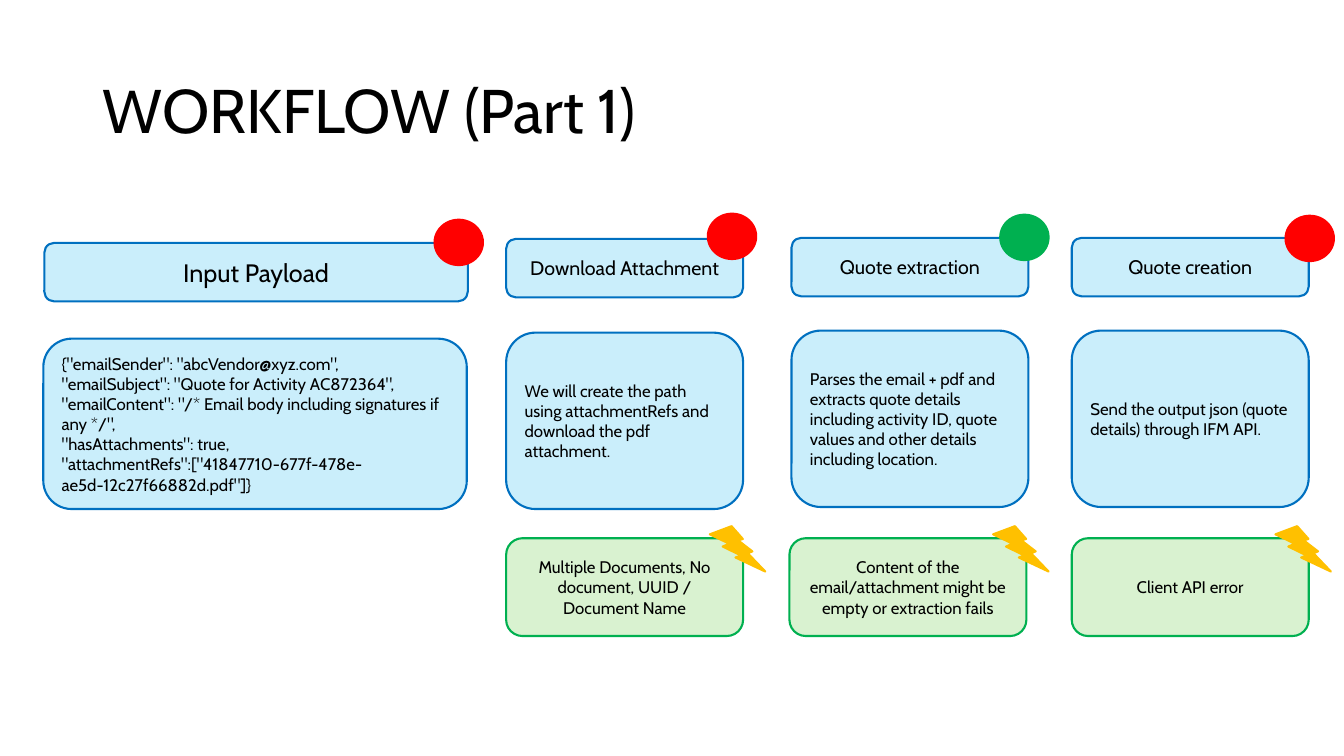
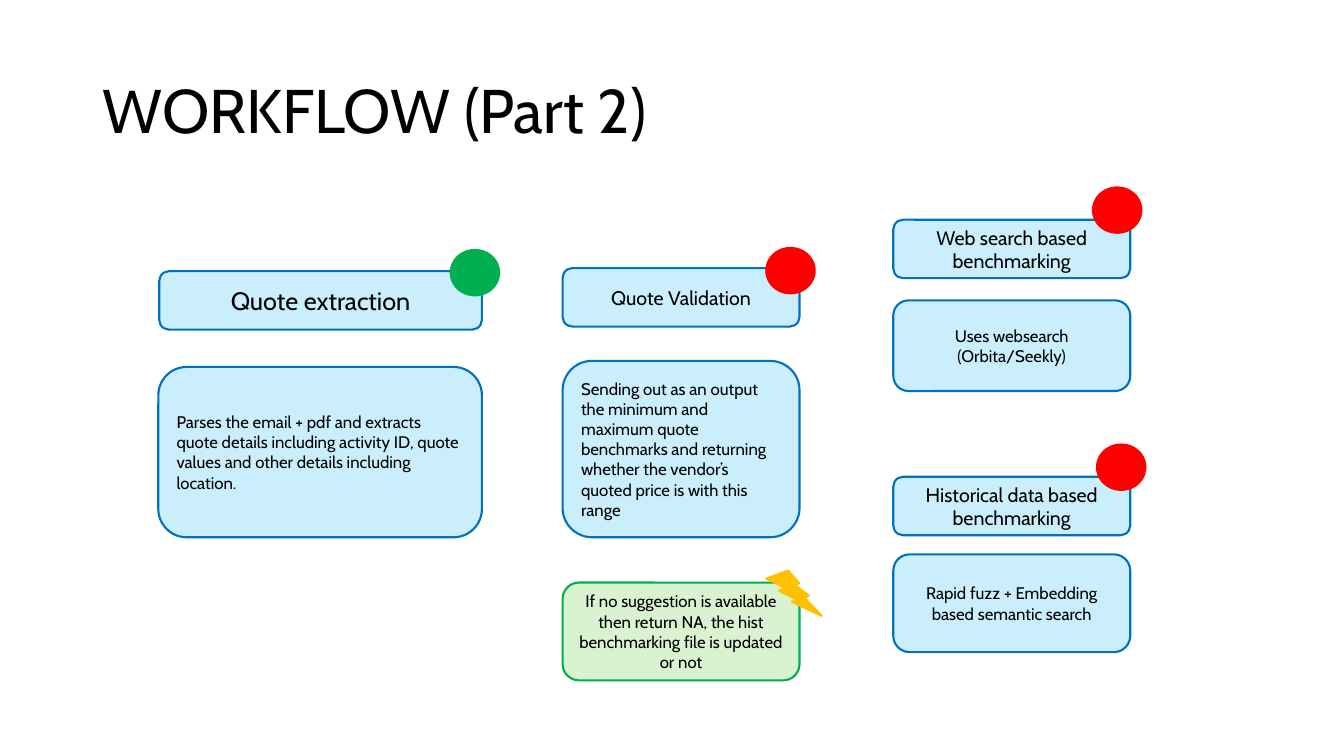
"""Build two workflow slides with step cards, status dots and risk notes."""
import pptx
import pptx.util
import pptx.dml.color
import pptx.enum.shapes
import pptx.enum.text

PX = 9144
FONT = "Cabin"
HUES = {
    "ink": "000000",
    "sky": "CAEEFB",
    "blue": "0070C0",
    "mint": "D9F2D0",
    "green": "00B050",
    "red": "FF0000",
    "gold": "FFC000",
}
KINDS = pptx.enum.shapes.MSO_SHAPE
ALIGN = pptx.enum.text.PP_ALIGN
WIDE = 235
HEAD = 58
NOTE = 97

PARSE = ("Parses the email + pdf and extracts quote details including activity ID, "
         "quote values and other details including location.")
INPUT = """{"emailSender": "abcVendor@xyz.com",
"emailSubject": "Quote for Activity AC872364",
"emailContent": "/* Email body including signatures if any */",
"hasAttachments": true,
"attachmentRefs":["41847710-677f-478e-ae5d-12c27f66882d.pdf"]}"""

PAGES = [
    {
        "title": "WORKFLOW (Part 1)",
        "heads": [
            (44, 241, 420, 18, "Input Payload"),
            (502, 237, WIDE, 14, "Download Attachment"),
            (785, 236, WIDE, 14, "Quote extraction"),
            (1063, 236, WIDE, 14, "Quote creation"),
        ],
        "cards": [
            (43, 336, 420, 169, "LEFT", INPUT),
            (502, 330, WIDE, 175, "LEFT",
             "We will create the path using attachmentRefs and download the pdf attachment."),
            (785, 328, WIDE, 175, "LEFT", PARSE),
            (1063, 328, WIDE, 175, "LEFT",
             "Send the output json (quote details) through IFM API."),
        ],
        "dots": [(431, 218, "red"), (702, 212, "red"), (992, 213, "green"), (1275, 214, "red")],
        "risks": [
            (502, 534, "Multiple Documents, No document, UUID / Document Name"),
            (783, 534, "Content of the email/attachment might be empty or extraction fails"),
            (1063, 534, "Client API error"),
        ],
    },
    {
        "title": "WORKFLOW (Part 2)",
        "heads": [
            (158, 269, 320, 18, "Quote extraction"),
            (558, 266, WIDE, 14, "Quote Validation"),
            (886, 218, WIDE, 14, "Web search based benchmarking"),
            (886, 473, WIDE, 14, "Historical data based benchmarking"),
        ],
        "cards": [
            (157, 364, 321, 169, "LEFT", PARSE),
            (558, 358, WIDE, 175, "LEFT",
             "Sending out as an output the minimum and maximum quote benchmarks and "
             "returning whether the vendor’s quoted price is with this range"),
            (886, 298, WIDE, 90, "CENTER", "Uses websearch (Orbita/Seekly)"),
            (886, 550, WIDE, NOTE, "CENTER", "Rapid fuzz + Embedding based semantic search"),
        ],
        "dots": [(447, 248, "green"), (760, 246, "red"), (1084, 186, "red"), (1088, 441, "red")],
        "risks": [
            (558, 578, "If no suggestion is available then return NA, "
                       "the hist benchmarking file is updated or not"),
        ],
    },
]


def write(shape, text, size=12, align="CENTER", space=None):
    """Fill a shape with text, one paragraph a line."""
    frame = shape.text_frame
    frame.word_wrap = True
    frame.vertical_anchor = pptx.enum.text.MSO_ANCHOR.MIDDLE
    frame.text = text
    for para in frame.paragraphs:
        para.alignment = ALIGN[align]
        if space:
            para.line_spacing = space
        for run in para.runs:
            run.font.name = FONT
            run.font.size = pptx.util.Pt(size)
            run.font.color.rgb = pptx.dml.color.RGBColor.from_string(HUES["ink"])


def draw(slide, kind, box, fill, line):
    """Add a flat preset shape with a fill and an outline."""
    shape = slide.shapes.add_shape(kind, *[n * PX for n in box])
    shape.shadow.inherit = False
    shape.fill.solid()
    shape.fill.fore_color.rgb = pptx.dml.color.RGBColor.from_string(HUES[fill])
    shape.line.color.rgb = pptx.dml.color.RGBColor.from_string(HUES[line])
    shape.line.width = pptx.util.Pt(1.5)
    return shape


deck = pptx.Presentation()
deck.slide_width = 1333 * PX
deck.slide_height = 750 * PX

for page in PAGES:
    slide = deck.slides.add_slide(deck.slide_layouts[6])
    title = slide.shapes.add_textbox(92 * PX, 40 * PX, 1150 * PX, 145 * PX)
    write(title, page["title"], size=44, align="LEFT", space=0.9)

    for x, y, w, size, text in page["heads"]:
        head = draw(slide, KINDS.ROUNDED_RECTANGLE, (x, y, w, HEAD), "sky", "blue")
        write(head, text, size=size)

    for x, y, w, h, align, text in page["cards"]:
        card = draw(slide, KINDS.ROUNDED_RECTANGLE, (x, y, w, h), "sky", "blue")
        write(card, text, align=align)

    for x, y, hue in page["dots"]:
        draw(slide, KINDS.OVAL, (x, y, 48, 45), hue, hue)

    for x, y, text in page["risks"]:
        risk = draw(slide, KINDS.ROUNDED_RECTANGLE, (x, y, WIDE, NOTE), "mint", "green")
        write(risk, text)
        draw(slide, KINDS.LIGHTNING_BOLT, (x + WIDE - 33, y - 12, 55, 45), "gold", "gold")

deck.save("out.pptx")
